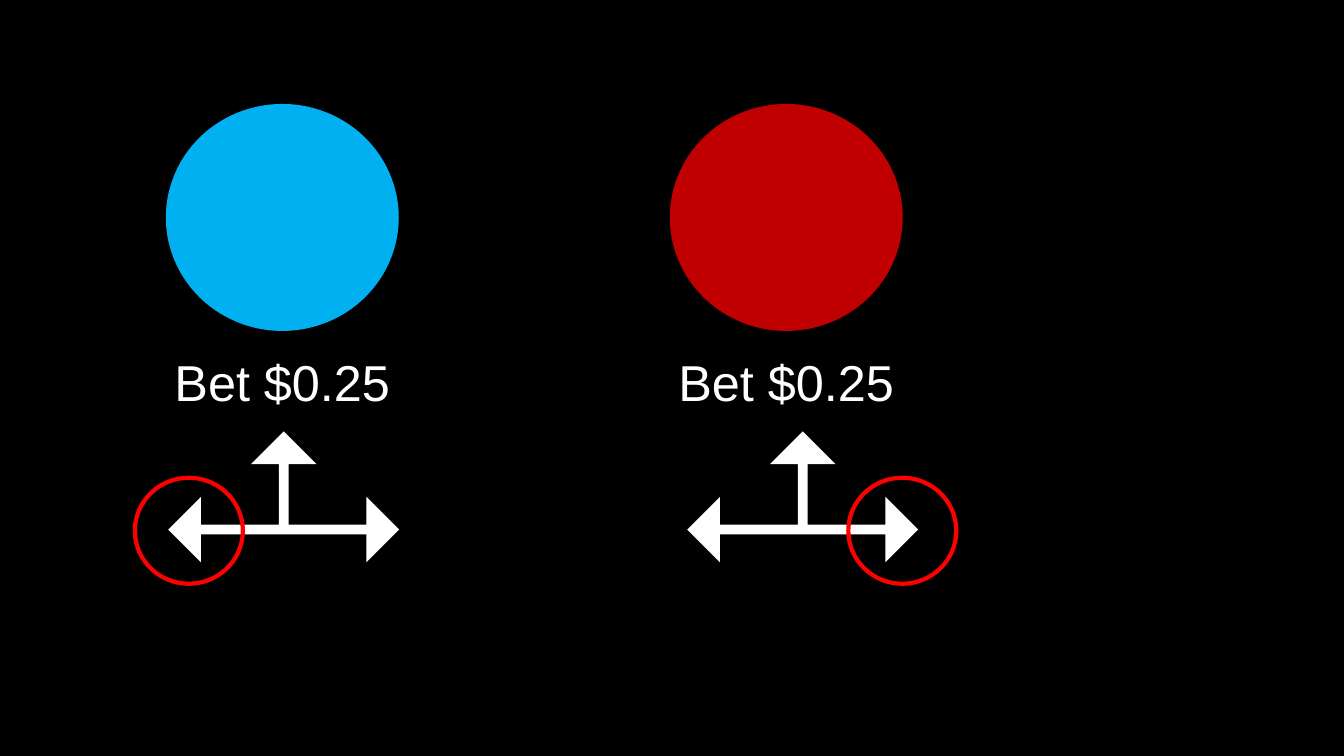
from dataclasses import dataclass

from pptx import Presentation
from pptx.dml.color import RGBColor as RGB
from pptx.enum.shapes import MSO_SHAPE as Shape
from pptx.enum.text import MSO_ANCHOR as Anchor, PP_ALIGN as Align
from pptx.util import Cm, Pt


@dataclass(frozen=True)
class Theme:
    background: RGB = RGB(0, 0, 0)
    ink: RGB = RGB(255, 255, 255)
    blue: RGB = RGB(0x00, 0xB0, 0xF0)
    red: RGB = RGB(0xC0, 0x00, 0x00)
    ring: RGB = RGB(255, 0, 0)
    font: str = "Arial"
    label_size: Pt = Pt(36)
    ring_width: Pt = Pt(3)


theme = Theme()


def set_format(target, values):
    for name, value in values.items():
        setattr(target, name, value)


def add_shape(slide, kind, box, fill=None, line=None):
    sp = slide.shapes.add_shape(kind, *map(Cm, box))
    sp.shadow.inherit = False
    if fill is None:
        sp.fill.background()
    else:
        sp.fill.solid()
        sp.fill.fore_color.rgb = fill
    if line is None:
        sp.line.fill.background()
    else:
        sp.line.color.rgb = line
        sp.line.width = theme.ring_width
    return sp


def add_label(slide, box, text):
    tf = slide.shapes.add_textbox(*map(Cm, box)).text_frame
    set_format(tf, {"word_wrap": True, "vertical_anchor": Anchor.TOP})
    p = tf.paragraphs[0]
    p.alignment = Align.CENTER
    r = p.add_run()
    r.text = text
    set_format(r.font, {"name": theme.font, "size": theme.label_size})
    r.font.color.rgb = theme.ink


def add_choice(slide, box, color, text, arrow_dx, ring_dx):
    """One coloured disc with its bet, arrows and ringed arrowhead."""
    x, y, w, h = box

    # Disc, centred over the bet
    disc_w, disc_h = 5.87, 5.72
    add_shape(slide, Shape.OVAL, (x + (w - disc_w) / 2, y, disc_w, disc_h), color)
    add_label(slide, (x, y + 6.1, w, 1.8), text)

    # Three-way arrow at the foot of the box
    arrow_w, arrow_h = 5.82, 3.3
    arrow_x = x + arrow_dx
    arrow = add_shape(slide, Shape.LEFT_RIGHT_UP_ARROW,
                      (arrow_x, y + h - arrow_h, arrow_w, arrow_h), theme.ink)
    for i, value in enumerate((0.074, 0.25, 0.25)):
        arrow.adjustments[i] = value

    # Ring around the chosen arrowhead
    add_shape(slide, Shape.OVAL, (arrow_x + ring_dx, y + 9.42, 2.72, 2.67),
              line=theme.ring)


def build_bet_slide(prs):
    slide = prs.slides.add_slide(prs.slide_layouts[6])
    slide.background.fill.solid()
    slide.background.fill.fore_color.rgb = theme.background

    # Colour, arrow offset in the box, ring offset from the arrow
    choices = [(theme.blue, 0.53, -0.84), (theme.red, 0.91, 4.06)]
    left, top, width, height, pitch = 3.71, 2.62, 6.81, 11.55, 12.7
    for i, (color, arrow_dx, ring_dx) in enumerate(choices):
        add_choice(slide, (left + i * pitch, top, width, height),
                   color, "Bet $0.25", arrow_dx, ring_dx)


prs = Presentation()
set_format(prs, {"slide_width": Cm(33.87), "slide_height": Cm(19.05)})
build_bet_slide(prs)
prs.save("out.pptx")
